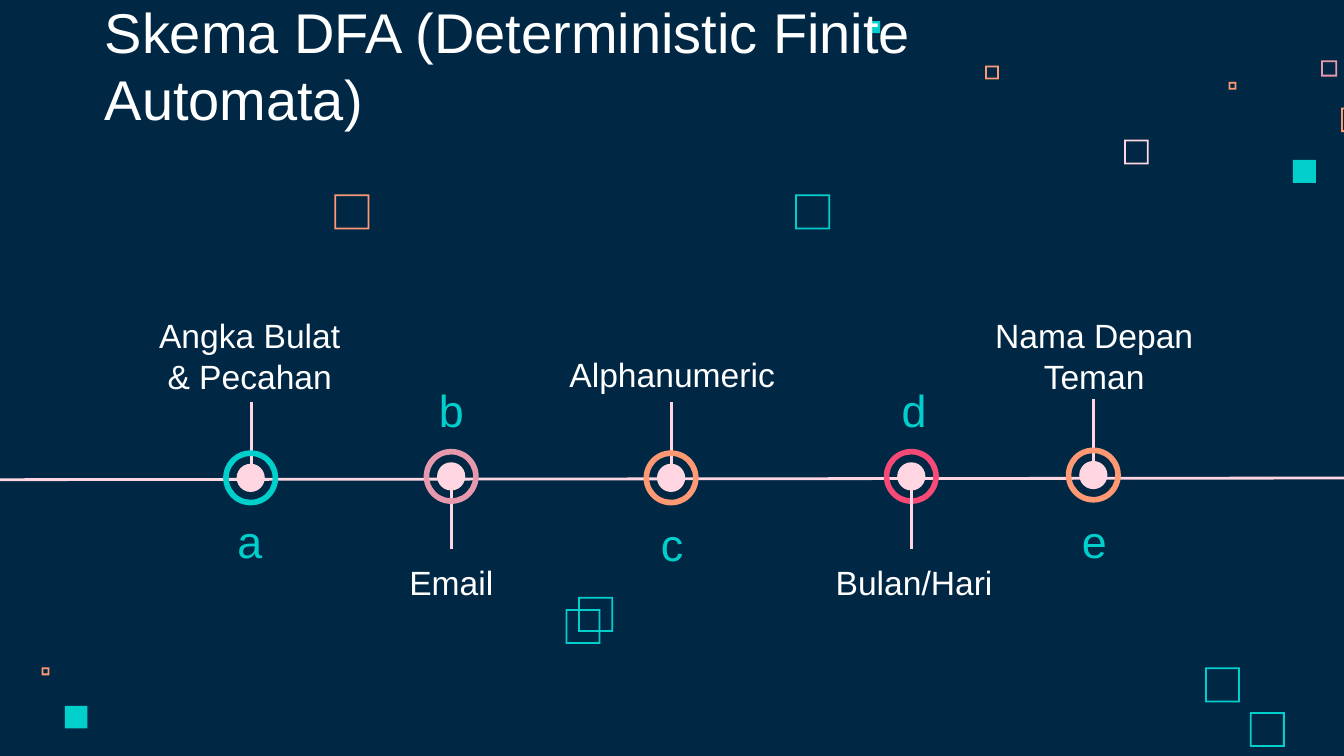
"""Build the DFA scheme timeline slide."""
from dataclasses import dataclass

from lxml import etree
from pptx import Presentation
from pptx.dml.color import RGBColor
from pptx.enum.shapes import MSO_CONNECTOR, MSO_SHAPE
from pptx.enum.text import MSO_ANCHOR, PP_ALIGN
from pptx.oxml.ns import qn
from pptx.util import Pt

STRAIGHT = MSO_CONNECTOR.STRAIGHT
RECTANGLE, FRAME = MSO_SHAPE.RECTANGLE, MSO_SHAPE.FRAME
OVAL, DONUT = MSO_SHAPE.OVAL, MSO_SHAPE.DONUT
TOP, MIDDLE, BOTTOM = MSO_ANCHOR.TOP, MSO_ANCHOR.MIDDLE, MSO_ANCHOR.BOTTOM
LEFT, CENTER = PP_ALIGN.LEFT, PP_ALIGN.CENTER

NAVY, WHITE, PALE_PINK = "002845", "FFFFFF", "FFD6E1"
TEAL, ORANGE, ROSE, CRIMSON = "00CFCC", "FF9973", "E898AC", "F64975"
FONT = "Arial"
SLIDE_WIDTH, SLIDE_HEIGHT = 720, 405
FRAME_THICKNESS = 0.95
DOT_SIZE, RING_SIZE, RING_RATIO = 15.1, 29.5, 0.102
LABEL_WIDTH, LETTER_WIDTH, LINE_HEIGHT = 148.3, 101.5, 33.8
INSET = 7.2


@dataclass
class Square:
    """A decorative square, outlined unless filled."""
    left: float
    top: float
    size: float
    color: str
    filled: bool = False


@dataclass
class Node:
    """A timeline stop with its marker, stem, letter and label."""
    letter: str
    label: str
    x: float
    y: float
    text_x: float
    color: str
    letter_top: float
    label_top: float
    label_height: float
    anchor: MSO_ANCHOR
    stem_up: bool = True
    stem_in_front: bool = False


SQUARES = [
    Square(602.2, 74.9, 13.2, PALE_PINK),
    Square(707.7, 32.4, 8.6, ROSE),
    Square(658.2, 43.9, 4.2, ORANGE),
    Square(718.4, 57.7, 13, ORANGE),
    Square(692.7, 85.7, 12.3, TEAL, True),
    Square(527.8, 35.2, 7.3, ORANGE),
    Square(465, 11.3, 6.5, TEAL, True),
    Square(22.3, 357.6, 4.2, ORANGE),
    Square(34.7, 378.2, 12.1, TEAL, True),
    Square(179.2, 104.2, 18.7, ORANGE),
    Square(426, 104.2, 18.7, TEAL),
    Square(645.6, 357.6, 18.7, TEAL),
    Square(303, 326.3, 18.7, TEAL),
    Square(669.6, 381.5, 18.7, TEAL),
    Square(309.8, 319.8, 18.7, TEAL),
]

NODES = [
    Node("a", "Angka Bulat\n& Pecahan", 134.3, 256, 133.8, TEAL, 272.9, 160.6, 59.8, MIDDLE),
    Node("b", "Email", 241.7, 255.2, 241.8, ROSE, 202.3, 295.9, LINE_HEIGHT, BOTTOM, False),
    Node("c", "Alphanumeric", 359.5, 256, 360.1, ORANGE, 274.3, 182.2, LINE_HEIGHT, TOP),
    Node("d", "Bulan/Hari", 488.2, 255.2, 489.7, CRIMSON, 202.3, 296.3, LINE_HEIGHT, BOTTOM, False, True),
    Node("e", "Nama Depan\nTeman", 585.7, 254.5, 586.2, ORANGE, 272.9, 160.6, 59.8, MIDDLE),
]


def rgb(color: str) -> RGBColor:
    """Turn a hex string into a colour."""
    return RGBColor.from_string(color)


def add_filled_shape(slide, kind: MSO_SHAPE, left: float, top: float, size: float, color: str, ratio: float | None = None):
    """Add a square-proportioned preset shape without outline."""
    shape = slide.shapes.add_shape(kind, Pt(left), Pt(top), Pt(size), Pt(size))
    shape.shadow.inherit = False
    shape.fill.solid()
    shape.fill.fore_color.rgb = rgb(color)
    shape.line.fill.background()
    if ratio is not None:
        shape.adjustments[0] = ratio


def add_square(slide, square: Square):
    """Draw one decorative square."""
    kind, ratio = (RECTANGLE, None) if square.filled else (FRAME, FRAME_THICKNESS / square.size)
    add_filled_shape(slide, kind, square.left, square.top, square.size, square.color, ratio)


def add_line(slide, start_x: float, start_y: float, end_x: float, end_y: float):
    """Draw a plain pale line."""
    line = slide.shapes.add_connector(STRAIGHT, Pt(start_x), Pt(start_y), Pt(end_x), Pt(end_y))
    line.line.width = Pt(1.5)
    line.line.color.rgb = rgb(PALE_PINK)
    etree.SubElement(line._element.spPr, qn("a:effectLst"))


def add_text(slide, text: str, left: float, top: float, width: float, height: float,
             size: float, color: str, anchor: MSO_ANCHOR, alignment: PP_ALIGN = CENTER):
    """Add a wrapped text box holding one paragraph."""
    frame = slide.shapes.add_textbox(Pt(left), Pt(top), Pt(width), Pt(height)).text_frame
    frame_format = {"word_wrap": True, "vertical_anchor": anchor}
    frame_format |= {f"margin_{side}": Pt(INSET) for side in ("left", "top", "right", "bottom")}
    for name, value in frame_format.items():
        setattr(frame, name, value)
    paragraph = frame.paragraphs[0]
    paragraph.text = text
    paragraph.alignment = alignment
    for name, value in {"name": FONT, "size": Pt(size)}.items():
        setattr(paragraph.font, name, value)
    paragraph.font.color.rgb = rgb(color)


def add_stem(slide, node: Node):
    """Draw the line leading from a marker towards its label."""
    near, far = (-4.7, -40.6) if node.stem_up else (3.2, 39.2)
    stem_x = node.x + 0.3
    add_line(slide, stem_x, node.y + far, stem_x, node.y + near)


def add_marker(slide, node: Node):
    """Draw the dot and the ring of a node."""
    for kind, size, color, ratio in ((OVAL, DOT_SIZE, PALE_PINK, None), (DONUT, RING_SIZE, node.color, RING_RATIO)):
        add_filled_shape(slide, kind, node.x - size / 2, node.y - size / 2, size, color, ratio)


def add_node(slide, node: Node):
    """Draw a whole timeline stop."""
    parts = (add_marker, add_stem) if node.stem_in_front else (add_stem, add_marker)
    for add_part in parts:
        add_part(slide, node)
    add_text(slide, node.label, node.text_x - LABEL_WIDTH / 2, node.label_top,
             LABEL_WIDTH, node.label_height, 18, WHITE, node.anchor)
    add_text(slide, node.letter, node.text_x - LETTER_WIDTH / 2, node.letter_top,
             LETTER_WIDTH, LINE_HEIGHT, 24, TEAL, MIDDLE)


def main():
    """Build and save the presentation."""
    presentation = Presentation()
    presentation.slide_width, presentation.slide_height = Pt(SLIDE_WIDTH), Pt(SLIDE_HEIGHT)
    slide = presentation.slides.add_slide(presentation.slide_layouts[6])
    slide.background.fill.solid()
    slide.background.fill.fore_color.rgb = rgb(NAVY)
    for square in SQUARES:
        add_square(slide, square)
    add_text(slide, "Skema DFA (Deterministic Finite Automata)", 49, 32.4, 540.7, 45.4, 30, WHITE, BOTTOM, LEFT)
    add_line(slide, -5.8, 257, 722.9, 256.1)
    for node in NODES:
        add_node(slide, node)
    presentation.save("out.pptx")


if __name__ == "__main__":
    main()
